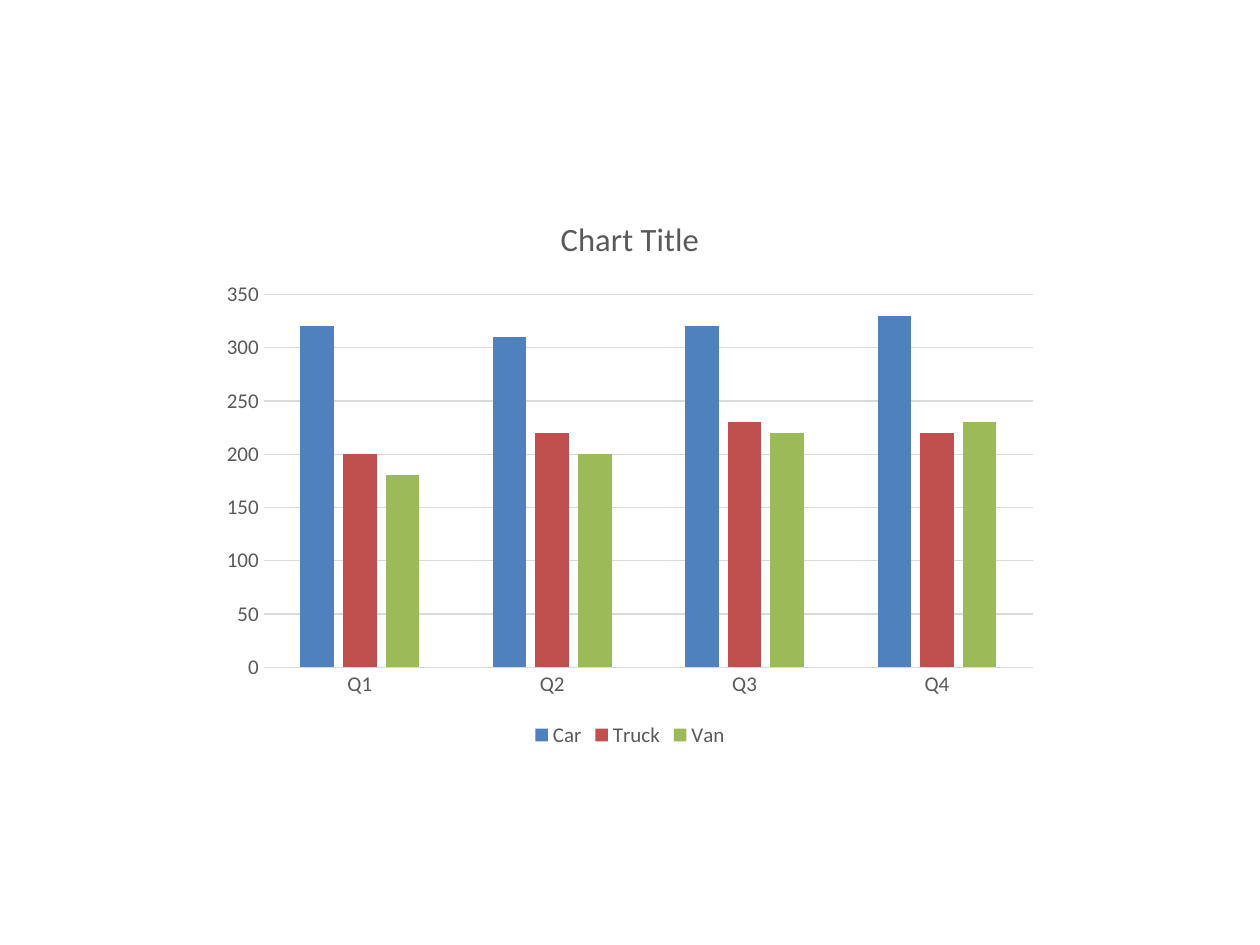
from dataclasses import dataclass

from pptx import Presentation
from pptx.chart.data import CategoryChartData
from pptx.dml.color import RGBColor
from pptx.enum.chart import XL_CHART_TYPE, XL_LEGEND_POSITION, XL_TICK_MARK
from pptx.util import Pt

CLUSTERED = XL_CHART_TYPE.COLUMN_CLUSTERED
BOTTOM = XL_LEGEND_POSITION.BOTTOM
NO_TICK = XL_TICK_MARK.NONE


@dataclass(frozen=True)
class Theme:
    font: str = "Calibri"
    text: str = "595959"
    rule: str = "D9D9D9"
    rule_width: float = 0.75
    title_size: float = 18.6
    label_size: float = 12
    series: tuple = ("4F81BD", "C0504D", "9BBB59")


THEME = Theme()
QUARTERS = ("Q1", "Q2", "Q3", "Q4")
VEHICLES = {
    "Car": (320, 310, 320, 330),
    "Truck": (200, 220, 230, 220),
    "Van": (180, 200, 220, 230),
}


def apply_format(target, values):
    for name, value in values.items():
        setattr(target, name, value)


def style_font(font, size):
    apply_format(font, {"name": THEME.font, "size": Pt(size), "bold": False})
    font.color.rgb = RGBColor.from_string(THEME.text)


def style_rule(line):
    line.width = Pt(THEME.rule_width)
    line.color.rgb = RGBColor.from_string(THEME.rule)


def add_vehicle_chart(slide, left, top, width, height):
    data = CategoryChartData()
    data.categories = QUARTERS
    for name, values in VEHICLES.items():
        data.add_series(name, values)
    box = [Pt(length) for length in (left, top, width, height)]
    chart = slide.shapes.add_chart(CLUSTERED, *box, data).chart
    style_font(chart.font, THEME.label_size)

    # Title
    chart.has_title = True
    title = chart.chart_title
    title.include_in_layout = False
    title.text_frame.text = "Chart Title"
    run = title.text_frame.paragraphs[0].runs[0]
    style_font(run.font, THEME.title_size)

    # Legend
    chart.has_legend = True
    apply_format(chart.legend, {"position": BOTTOM, "include_in_layout": False})
    style_font(chart.legend.font, THEME.label_size)

    # Axes
    for axis in (chart.category_axis, chart.value_axis):
        apply_format(axis, {"major_tick_mark": NO_TICK, "minor_tick_mark": NO_TICK})
        style_font(axis.tick_labels.font, THEME.label_size)
    style_rule(chart.category_axis.format.line)
    value_axis = chart.value_axis
    apply_format(value_axis, {"minimum_scale": 0, "maximum_scale": 350,
                              "major_unit": 50, "has_major_gridlines": True})
    value_axis.format.line.fill.background()
    style_rule(value_axis.major_gridlines.format.line)

    # Columns
    plot = chart.plots[0]
    apply_format(plot, {"gap_width": 219, "overlap": -27, "vary_by_categories": False})
    for series, color in zip(plot.series, THEME.series):
        series.format.fill.solid()
        series.format.fill.fore_color.rgb = RGBColor.from_string(color)


def main():
    presentation = Presentation()
    apply_format(presentation, {"slide_width": Pt(720), "slide_height": Pt(540)})
    slide = presentation.slides.add_slide(presentation.slide_layouts[6])
    add_vehicle_chart(slide, 120, 110, 480, 320)
    presentation.save("out.pptx")


main()
